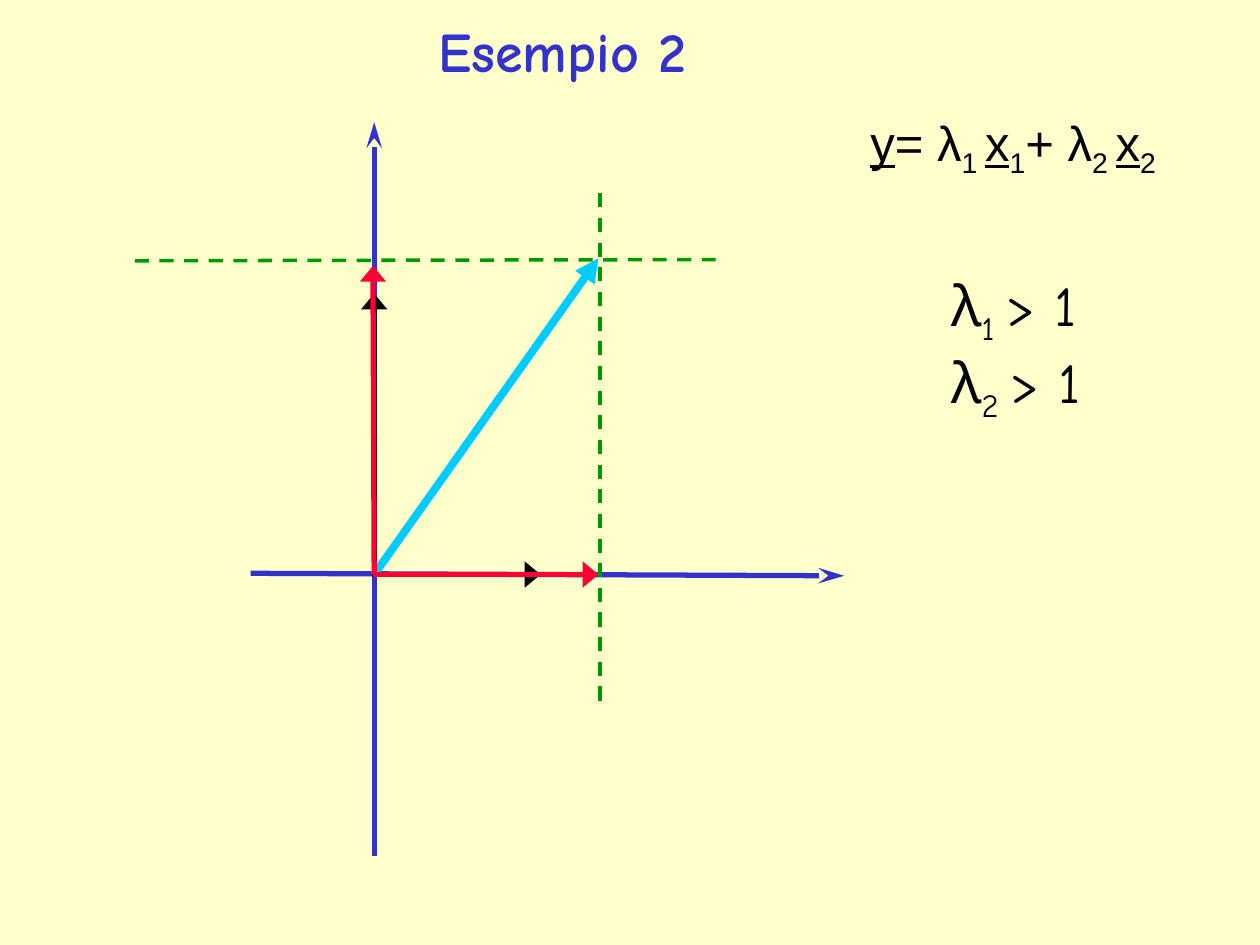
from dataclasses import dataclass
from typing import Optional

from lxml import etree
from pptx import Presentation
from pptx.dml.color import RGBColor
from pptx.enum import dml, shapes, text
from pptx.oxml import ns
from pptx.util import Inches, Pt

CREAM = RGBColor(0xFF, 0xFF, 0xCC)
BLUE = RGBColor(0x33, 0x33, 0xCC)
CYAN = RGBColor(0x00, 0xCC, 0xFF)
GREEN = RGBColor(0x00, 0x99, 0x00)
RED = RGBColor(0xFF, 0x00, 0x33)
BLACK = RGBColor(0, 0, 0)

COMIC = "Comic Neue"
SUBSCRIPT = "-25000"

# Arrowheads: (type, width, length)
AXIS_HEAD = ("stealth", "med", "lg")
SUM_HEAD = ("triangle", "med", "med")
VECTOR_HEAD = ("triangle", "lg", "med")


@dataclass
class Line:
    start: tuple[float, float]
    end: tuple[float, float]
    color: RGBColor
    width: float
    head: Optional[tuple[str, str, str]] = None
    dashed: bool = False


@dataclass
class Run:
    text: str
    sub: bool = False
    underline: bool = False


@dataclass
class Label:
    box: tuple[float, float, float, float]
    lines: list[list[Run]]
    font: dict
    wrap: bool = True
    anchor: text.MSO_ANCHOR = text.MSO_ANCHOR.TOP
    spacing: Optional[float] = None


AXES = [
    Line((2.97, 6.79), (2.97, 0.97), BLUE, 3, AXIS_HEAD),
    Line((1.99, 4.55), (6.7, 4.57), BLUE, 3, AXIS_HEAD),
]
SUM_VECTOR = Line((2.97, 4.56), (4.75, 2.05), CYAN, 4.5, SUM_HEAD)
GUIDES = [
    Line((1.07, 2.07), (5.68, 2.06), GREEN, 2, dashed=True),
    Line((4.76, 5.56), (4.76, 1.5), GREEN, 2, dashed=True),
]
BASE_VECTORS = [
    Line((2.95, 4.56), (4.29, 4.56), BLACK, 3, VECTOR_HEAD),
    Line((2.97, 4.55), (2.97, 2.33), BLACK, 3, VECTOR_HEAD),
]
SCALED_VECTORS = [
    Line((2.97, 4.56), (2.96, 2.11), RED, 3, VECTOR_HEAD),
    Line((2.96, 4.56), (4.75, 4.56), RED, 3, VECTOR_HEAD),
]


def term(prefix: str, index: str) -> list[Run]:
    """One scaled vector of the sum, such as λ1 x1."""
    return [Run(prefix), Run(f"{index} ", sub=True),
            Run("x", underline=True), Run(index, sub=True)]


LABELS = [
    Label((7.45, 2.1, 1.37, 1.17),
          [[Run("λ"), Run(f"{i} ", sub=True), Run("> 1")] for i in "12"],
          {"name": COMIC, "size": Pt(32)}),
    Label((3.38, 0, 2.54, 0.87), [[Run("Esempio 2")]],
          {"name": COMIC, "size": Pt(32), "bold": True, "color": BLUE},
          anchor=text.MSO_ANCHOR.MIDDLE, spacing=0.9),
    Label((6.81, 0.84, 2.62, 0.57),
          [[Run("y", underline=True), *term("= λ", "1"), *term("+ λ", "2")]],
          {"name": "Arial", "size": Pt(28)}, wrap=False),
]


def draw_line(s, line: Line) -> None:
    points = [Inches(v) for v in (*line.start, *line.end)]
    c = s.shapes.add_connector(shapes.MSO_CONNECTOR.STRAIGHT, *points)
    c.line.color.rgb = line.color
    c.line.width = Pt(line.width)
    if line.dashed:
        c.line.dash_style = dml.MSO_LINE.DASH
    properties = c.element.spPr
    if line.head:
        kind, width, length = line.head
        etree.SubElement(properties.find(ns.qn("a:ln")), ns.qn("a:tailEnd"),
                         type=kind, w=width, len=length)
    etree.SubElement(properties, ns.qn("a:effectLst"))


def draw_label(s, label: Label) -> None:
    sp = s.shapes.add_textbox(*(Inches(v) for v in label.box))
    tf = sp.text_frame
    tf.word_wrap = label.wrap
    tf.vertical_anchor = label.anchor
    for i, line in enumerate(label.lines):
        p = tf.add_paragraph() if i else tf.paragraphs[0]
        p.line_spacing = label.spacing
        for run in line:
            add_run(p, run, label.font)


def add_run(p, run: Run, font: dict) -> None:
    r = p.add_run()
    r.text = run.text
    style = {"color": BLACK, **font}
    r.font.color.rgb = style.pop("color")
    for name, value in style.items():
        setattr(r.font, name, value)
    if run.underline:
        r.font.underline = True
    if run.sub:
        r._r.get_or_add_rPr().set("baseline", SUBSCRIPT)


def main() -> None:
    prs = Presentation()
    prs.slide_width, prs.slide_height = Inches(10), Inches(7.5)
    s = prs.slides.add_slide(prs.slide_layouts[6])
    s.background.fill.solid()
    s.background.fill.fore_color.rgb = CREAM
    for line in [*AXES, SUM_VECTOR, *GUIDES, *BASE_VECTORS, *SCALED_VECTORS]:
        draw_line(s, line)
    for label in LABELS:
        draw_label(s, label)
    prs.save("out.pptx")


if __name__ == "__main__":
    main()
